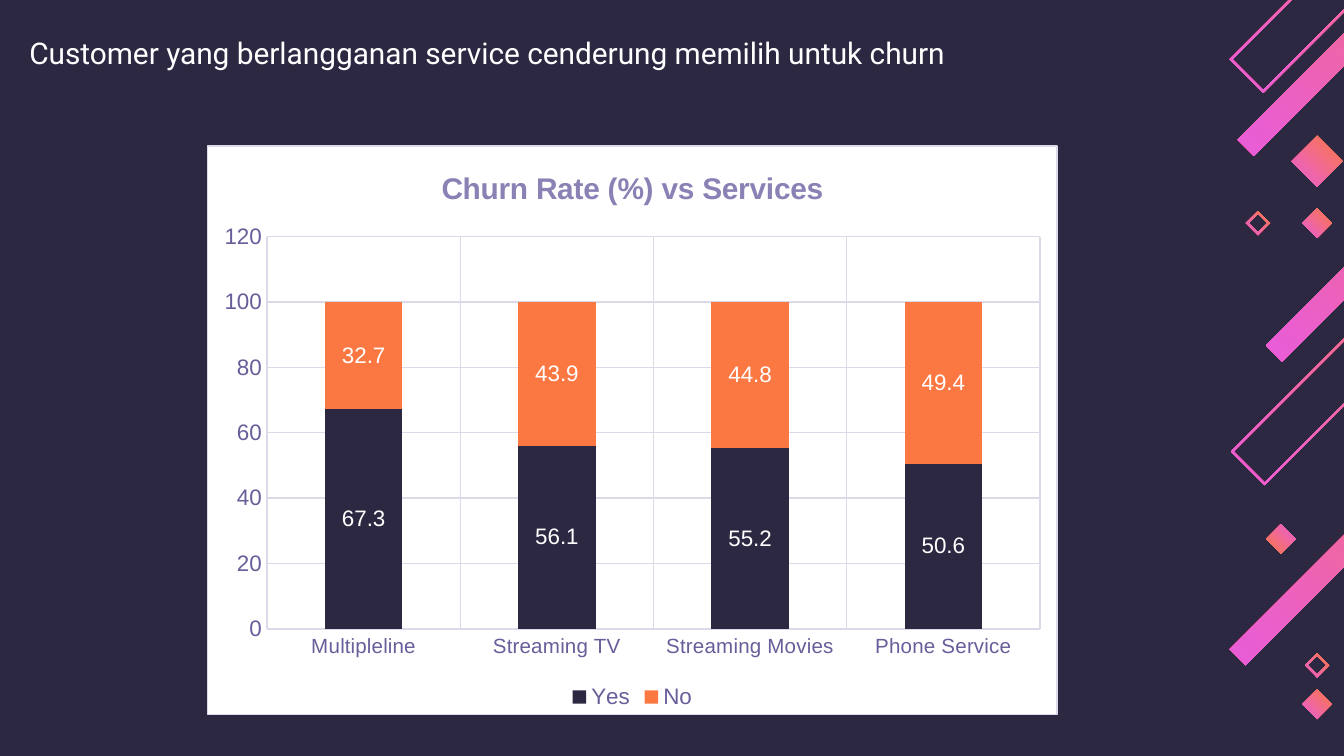
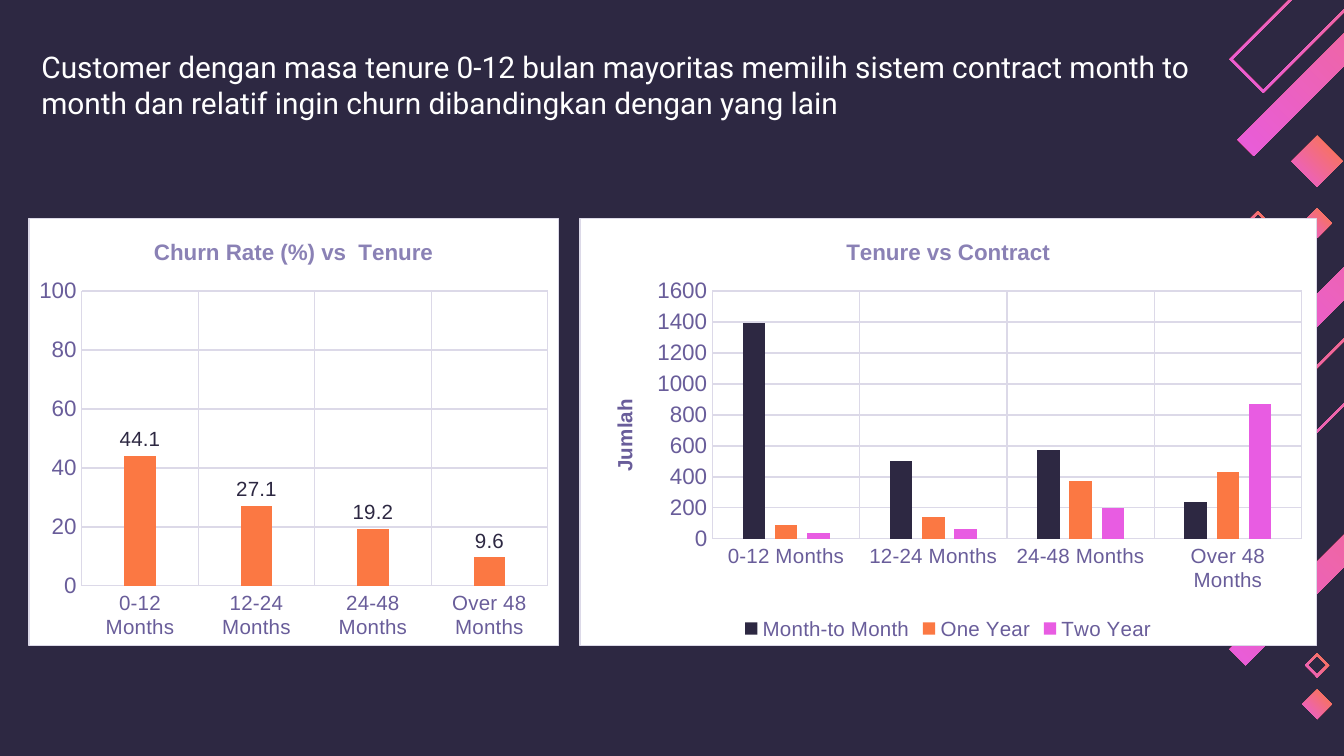
from dataclasses import dataclass
from typing import Optional

import pptx
import pptx.chart.axis
import pptx.chart.chart
import pptx.chart.data
import pptx.dml.color
import pptx.dml.fill
import pptx.dml.line
import pptx.enum.chart
import pptx.oxml
import pptx.oxml.ns
import pptx.slide
import pptx.text.text
import pptx.util
from pptx.util import Inches

SLIDE_WIDTH = Inches(10)
SLIDE_HEIGHT = SLIDE_WIDTH * 9 // 16

NAVY = "2D2842"
ORANGE = "FB7843"
PINK = "E85CDB"
MAGENTA = "E85CE2"
WHITE = "FFFFFF"
AXIS_TEXT = "695D9A"
TITLE_TEXT = "8A81B5"
GRID = "DCD9E8"

BODY_FONT = "Arial"
HEADING_FONT = "Roboto"
LINE_POINTS = 0.75
BORDER = 0.02  # thickness of hollow ribbons, in inches

STACKED = pptx.enum.chart.XL_CHART_TYPE.COLUMN_STACKED
CLUSTERED = pptx.enum.chart.XL_CHART_TYPE.COLUMN_CLUSTERED
LABEL_CENTER = pptx.enum.chart.XL_LABEL_POSITION.CENTER
LABEL_ABOVE = pptx.enum.chart.XL_LABEL_POSITION.OUTSIDE_END


@dataclass(frozen=True)
class Ribbon:
    """A bar rising at 45 degrees from its left corner; a diamond if length equals width."""
    left: float
    middle: float
    length: float
    width: float
    hollow: bool = False
    gradient_angle: int = 225

    def corners(self, inset: float = 0) -> list[tuple[int, int]]:
        left, length, width = self.left + inset, self.length - inset, self.width - inset
        points = [(0, 0), (length, -length), (length + width, width - length), (width, width)]
        return [(Inches(left + x), Inches(self.middle + y)) for x, y in points]


@dataclass(frozen=True)
class Series:
    name: str
    values: tuple[float, ...]
    color: str


@dataclass(frozen=True)
class Labels:
    size: int
    color: str
    position: pptx.enum.chart.XL_LABEL_POSITION


@dataclass(frozen=True)
class ColumnChart:
    title: str
    title_size: int
    box: tuple[float, float, float, float]
    plot_area: tuple[float, float, float, float]  # fractions of the box
    categories: tuple[str, ...]
    series: tuple[Series, ...]
    maximum: int
    major_unit: int
    kind: pptx.enum.chart.XL_CHART_TYPE = CLUSTERED
    gap: int = 267
    overlap: int = -43
    labels: Optional[Labels] = None
    legend_size: Optional[int] = None
    value_title: str = ""
    value_line: bool = False


@dataclass(frozen=True)
class ChartSlide:
    title: str
    title_left: float
    title_top: float
    charts: tuple[ColumnChart, ...]


RIBBONS = (
    Ribbon(9.15, 0.44, 1.95, 0.25, hollow=True),
    Ribbon(9.21, 1.04, 2.35, 0.12),
    Ribbon(9.61, 1.2, 0.19, 0.19),
    Ribbon(9.71, 4.95, 0.09, 0.09, hollow=True),
    Ribbon(9.27, 1.66, 0.09, 0.09, hollow=True),
    Ribbon(9.16, 3.36, 1.95, 0.25, hollow=True),
    Ribbon(9.15, 4.83, 2.35, 0.12),
    Ribbon(9.42, 2.57, 2.35, 0.12),
    Ribbon(9.69, 5.24, 0.11, 0.11),
    Ribbon(9.69, 1.66, 0.11, 0.11),
    Ribbon(9.42, 4.01, 0.11, 0.11, gradient_angle=45),
)

TENURES = ("0-12 Months", "12-24 Months", "24-48 Months", "Over 48 Months")

SERVICES_CHART = ColumnChart(
    "Churn Rate (%) vs Services", 16, (1.54, 1.08, 6.33, 4.24), (0.07, 0.16, 0.91, 0.69),
    ("Multipleline", "Streaming TV", "Streaming Movies", "Phone Service"),
    (Series("Yes", (67.3, 56.1, 55.2, 50.6), NAVY),
     Series("No", (32.7, 43.9, 44.8, 49.4), ORANGE)),
    maximum=120, major_unit=20, kind=STACKED, gap=150, overlap=100,
    labels=Labels(12, WHITE, LABEL_CENTER), legend_size=12, value_line=True,
)
CONTRACT_CHART = ColumnChart(
    "Tenure vs Contract", 12, (4.31, 1.62, 5.49, 3.19), (0.18, 0.17, 0.8, 0.58),
    TENURES,
    (Series("Month-to Month", (1390, 500, 570, 240), NAVY),
     Series("One Year", (90, 140, 370, 430), ORANGE),
     Series("Two Year", (40, 60, 200, 870), MAGENTA)),
    maximum=1600, major_unit=200, legend_size=11, value_title="Jumlah",
)
TENURE_CHART = ColumnChart(
    "Churn Rate (%) vs  Tenure", 12, (0.21, 1.62, 3.95, 3.19), (0.1, 0.17, 0.88, 0.69),
    TENURES,
    (Series("Series 1", (44.1, 27.1, 19.2, 9.6), ORANGE),),
    maximum=100, major_unit=20, labels=Labels(11, NAVY, LABEL_ABOVE),
)

SLIDES = (
    ChartSlide("Customer yang berlangganan service cenderung memilih untuk churn",
               0.12, 0.16, (SERVICES_CHART,)),
    ChartSlide("Customer dengan masa tenure 0-12 bulan mayoritas memilih sistem contract "
               "month to month dan relatif ingin churn dibandingkan dengan yang lain",
               0.21, 0.26, (CONTRACT_CHART, TENURE_CHART)),
)


def rgb(color: str) -> pptx.dml.color.RGBColor:
    return pptx.dml.color.RGBColor.from_string(color)


def fill_solid(fill: pptx.dml.fill.FillFormat, color: str) -> None:
    fill.solid()
    fill.fore_color.rgb = rgb(color)


def style_font(font: pptx.text.text.Font, size: int, color: str,
               name: str = BODY_FONT, bold: bool = False) -> None:
    font.size = pptx.util.Pt(size)
    font.name = name
    font.bold = bold
    font.color.rgb = rgb(color)


def set_text(text_frame: pptx.text.text.TextFrame, text: str, size: int, color: str,
             name: str = BODY_FONT, bold: bool = False) -> None:
    text_frame.text = text
    style_font(text_frame.paragraphs[0].runs[0].font, size, color, name, bold)


def draw_ribbons(slide: pptx.slide.Slide) -> None:
    group = slide.shapes.add_group_shape()
    for ribbon in RIBBONS:
        outer = ribbon.corners()
        builder = group.shapes.build_freeform(*outer[0])
        builder.add_line_segments(outer[1:])
        if ribbon.hollow:
            inner = ribbon.corners(BORDER)[::-1]
            builder.move_to(*inner[0])
            builder.add_line_segments(inner[1:])
        shape = builder.convert_to_shape()
        shape.shadow.inherit = False
        shape.line.fill.background()
        shape.fill.gradient()
        shape.fill.gradient_angle = ribbon.gradient_angle
        for stop, position, color in zip(shape.fill.gradient_stops, (0, 1), (ORANGE, PINK)):
            stop.position = position
            stop.color.rgb = rgb(color)


def draw_title(slide: pptx.slide.Slide, content: ChartSlide) -> None:
    box = slide.shapes.add_textbox(Inches(content.title_left), Inches(content.title_top),
                                   Inches(9.02), Inches(0.71))
    text_frame = box.text_frame
    text_frame.word_wrap = True
    text_frame.margin_left = text_frame.margin_right = Inches(0.1)
    text_frame.margin_top = text_frame.margin_bottom = Inches(0.1)
    set_text(text_frame, content.title, 16, WHITE, HEADING_FONT)


def style_line(line: pptx.dml.line.LineFormat) -> None:
    fill_solid(line.fill, GRID)
    line.width = pptx.util.Pt(LINE_POINTS)


def style_axis(axis: pptx.chart.axis._BaseAxis, size: int, has_line: bool) -> None:
    axis.major_tick_mark = axis.minor_tick_mark = pptx.enum.chart.XL_TICK_MARK.NONE
    style_font(axis.tick_labels.font, size, AXIS_TEXT)
    axis.has_major_gridlines = True
    style_line(axis.major_gridlines.format.line)
    if has_line:
        style_line(axis.format.line)
    else:
        axis.format.line.fill.background()


def set_chart_frame(chart: pptx.chart.chart.Chart) -> None:
    """Give the chart area a white fill and a thin border; chart.font must be set before."""
    frame = pptx.oxml.parse_xml(
        f'<c:spPr {pptx.oxml.ns.nsdecls("c", "a")}>'
        f'<a:solidFill><a:srgbClr val="{WHITE}"/></a:solidFill>'
        f'<a:ln w="{pptx.util.Pt(LINE_POINTS)}"><a:solidFill><a:srgbClr val="{GRID}"/>'
        '</a:solidFill></a:ln></c:spPr>')
    chart.element.xpath("c:txPr")[0].addprevious(frame)


def set_plot_area(chart: pptx.chart.chart.Chart,
                  fractions: tuple[float, float, float, float]) -> None:
    plot_area = chart.element.xpath("c:chart/c:plotArea")[0]
    for layout in plot_area.xpath("c:layout"):
        plot_area.remove(layout)
    modes = '<c:xMode val="edge"/><c:yMode val="edge"/>'
    sizes = "".join(f'<c:{key} val="{value}"/>' for key, value in zip("xywh", fractions))
    plot_area.insert(0, pptx.oxml.parse_xml(
        f'<c:layout {pptx.oxml.ns.nsdecls("c")}><c:manualLayout>'
        f'<c:layoutTarget val="inner"/>{modes}{sizes}</c:manualLayout></c:layout>'))


def draw_chart(slide: pptx.slide.Slide, content: ColumnChart) -> None:
    data = pptx.chart.data.CategoryChartData()
    data.categories = content.categories
    for series in content.series:
        data.add_series(series.name, series.values)
    box = [Inches(length) for length in content.box]
    chart = slide.shapes.add_chart(content.kind, *box, data).chart
    style_font(chart.font, 10, NAVY)
    set_chart_frame(chart)
    set_plot_area(chart, content.plot_area)

    chart.has_title = True
    set_text(chart.chart_title.text_frame, content.title, content.title_size,
             TITLE_TEXT, bold=True)
    chart.has_legend = content.legend_size is not None
    if content.legend_size is not None:
        chart.legend.position = pptx.enum.chart.XL_LEGEND_POSITION.BOTTOM
        chart.legend.include_in_layout = False
        style_font(chart.legend.font, content.legend_size, AXIS_TEXT)

    style_axis(chart.category_axis, 11, True)
    style_axis(chart.value_axis, 12, content.value_line)
    chart.value_axis.minimum_scale = 0
    chart.value_axis.maximum_scale = content.maximum
    chart.value_axis.major_unit = content.major_unit
    if content.value_title:
        set_text(chart.value_axis.axis_title.text_frame, content.value_title, 11,
                 AXIS_TEXT, bold=True)

    plot = chart.plots[0]
    plot.vary_by_categories = False
    plot.gap_width = content.gap
    plot.overlap = content.overlap
    for column, series in zip(plot.series, content.series):
        fill_solid(column.format.fill, series.color)
        if content.labels:
            labels = column.data_labels
            labels.show_value = True
            labels.position = content.labels.position
            style_font(labels.font, content.labels.size, content.labels.color)


def main() -> None:
    presentation = pptx.Presentation()
    presentation.slide_width = SLIDE_WIDTH
    presentation.slide_height = SLIDE_HEIGHT
    for content in SLIDES:
        slide = presentation.slides.add_slide(presentation.slide_layouts[6])
        fill_solid(slide.background.fill, NAVY)
        draw_ribbons(slide)
        draw_title(slide, content)
        for chart in content.charts:
            draw_chart(slide, chart)
    presentation.save("out.pptx")


if __name__ == "__main__":
    main()
